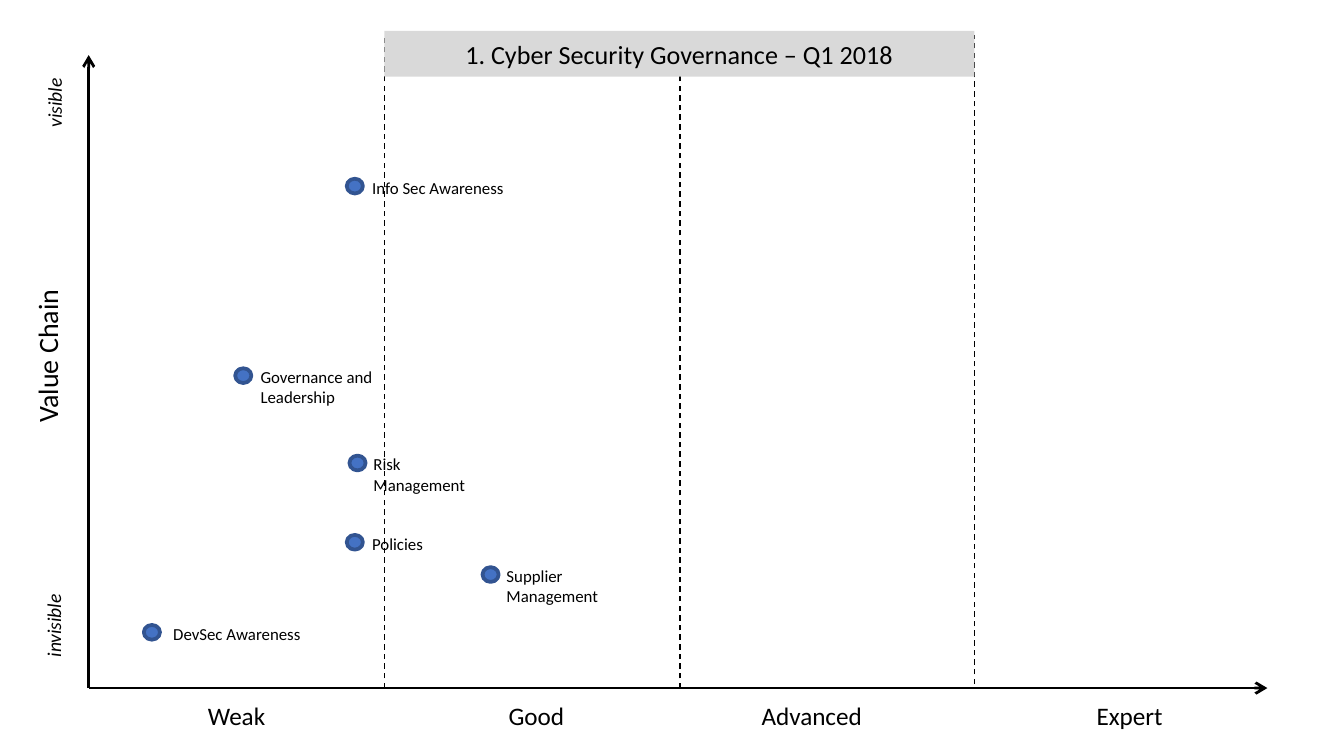
from lxml import etree
from pptx import Presentation
from pptx.dml.color import RGBColor
from pptx.enum.dml import MSO_LINE
from pptx.enum.shapes import MSO_CONNECTOR, MSO_SHAPE
from pptx.enum.text import MSO_AUTO_SIZE, PP_ALIGN
from pptx.oxml.ns import qn
from pptx.util import Inches, Pt

STRAIGHT = MSO_CONNECTOR.STRAIGHT
OVAL = MSO_SHAPE.OVAL
RECTANGLE = MSO_SHAPE.RECTANGLE
DASH = MSO_LINE.DASH
CENTER = PP_ALIGN.CENTER
GROW = MSO_AUTO_SIZE.SHAPE_TO_FIT_TEXT

BLACK = RGBColor(0x00, 0x00, 0x00)
WHITE = RGBColor(0xFF, 0xFF, 0xFF)
GRAY = RGBColor(0xD9, 0xD9, 0xD9)
BLUE = RGBColor(0x44, 0x72, 0xC4)
DARK_BLUE = RGBColor(0x32, 0x54, 0x91)

FONT = "Calibri"
SLIDE_WIDTH = Inches(10)
SLIDE_HEIGHT = SLIDE_WIDTH * 9 // 16
ORIGIN_X, ORIGIN_Y = 0.66, 5.12
DOT_WIDTH, DOT_HEIGHT = 0.12, 0.11
LABEL_RISE = 0.06
ONE_LINE, TWO_LINES = 0.25, 0.4

CAPABILITIES = [
    ("Risk Management", 2.6, 3.39, 2.68, 0.99, TWO_LINES),
    ("Governance and Leadership", 1.75, 2.74, 1.84, 1.29, TWO_LINES),
    ("Policies", 2.58, 3.98, 2.67, 1.29, ONE_LINE),
    ("Supplier Management", 3.59, 4.22, 3.67, 1.29, TWO_LINES),
    ("DevSec Awareness", 1.07, 4.65, 1.19, 1.29, ONE_LINE),
    ("Info Sec Awareness", 2.58, 1.33, 2.67, 1.29, ONE_LINE),
]
DIVIDERS = [(2.86, 5.12, 0.28), (5.06, 5.12, 0.28), (7.25, 5.09, 0.26)]
STAGES = [
    ("Weak", 1.27, 0.98),
    ("Good", 3.5, 0.98),
    ("Advanced", 5.32, 1.44),
    ("Expert", 7.53, 1.75),
]
AXIS_TEXTS = [
    ("Value Chain", -0.25, 2.47, 1.2, 0.35, 15, False),
    ("visible", 0.12, 0.62, 0.57, 0.28, 10.5, True),
    ("invisible", 0.06, 4.51, 0.68, 0.28, 10.5, True),
]


def write_text(shape, text, size, wrap=True, italic=False):
    """Put one formatted paragraph in a shape and return it."""
    frame = shape.text_frame
    frame.text = text
    frame.word_wrap = wrap
    frame.auto_size = GROW
    paragraph = frame.paragraphs[0]
    font = paragraph.runs[0].font
    font.name = FONT
    font.size = Pt(size)
    font.italic = italic
    font.color.rgb = BLACK
    return paragraph


def add_text(slide, text, left, top, width, height, size, wrap=True, italic=False):
    """Add a text box and return it."""
    box = slide.shapes.add_textbox(
        Inches(left), Inches(top), Inches(width), Inches(height))
    write_text(box, text, size, wrap, italic)
    return box


def add_filled_shape(slide, kind, left, top, width, height, fill):
    """Add a flat filled shape without an outline."""
    shape = slide.shapes.add_shape(
        kind, Inches(left), Inches(top), Inches(width), Inches(height))
    shape.shadow.inherit = False
    shape.fill.solid()
    shape.fill.fore_color.rgb = fill
    shape.line.fill.background()
    return shape


def add_banner(slide, text, left, top, width, height, fill, size):
    """Add a filled rectangle with centred text."""
    banner = add_filled_shape(slide, RECTANGLE, left, top, width, height, fill)
    write_text(banner, text, size).alignment = CENTER


def add_line(slide, start_x, start_y, end_x, end_y, width):
    """Add a black line without a shadow."""
    line = slide.shapes.add_connector(
        STRAIGHT, Inches(start_x), Inches(start_y), Inches(end_x), Inches(end_y))
    line.line.color.rgb = BLACK
    line.line.width = Pt(width)
    etree.SubElement(line._element.spPr, qn("a:effectLst"))
    return line


def add_axis(slide, end_x, end_y):
    """Add an axis from the origin with an arrowhead at its end."""
    axis = add_line(slide, ORIGIN_X, ORIGIN_Y, end_x, end_y, 1.5)
    etree.SubElement(axis.line._get_or_add_ln(), qn("a:tailEnd"), type="arrow")


def add_capability(slide, text, left, top, label_left, label_width, label_height):
    """Add a capability dot with its label."""
    dot = add_filled_shape(slide, OVAL, left, top, DOT_WIDTH, DOT_HEIGHT, BLUE)
    dot.line.color.rgb = DARK_BLUE
    dot.line.width = Pt(2)
    add_text(slide, text, label_left, top - LABEL_RISE, label_width, label_height, 9)


def main():
    """Build the maturity map and save it."""
    presentation = Presentation()
    presentation.slide_width = SLIDE_WIDTH
    presentation.slide_height = SLIDE_HEIGHT
    slide = presentation.slides.add_slide(presentation.slide_layouts[6])

    add_axis(slide, ORIGIN_X, 0.41)
    add_axis(slide, 9.43, ORIGIN_Y)
    for text, left, top, width, height, size, italic in AXIS_TEXTS:
        box = add_text(slide, text, left, top, width, height, size, False, italic)
        box.rotation = 270
    for x, bottom, top in DIVIDERS:
        add_line(slide, x, bottom, x, top, 0.75).line.dash_style = DASH
    for text, left, width in STAGES:
        add_banner(slide, text, left, 5.16, width, 0.33, WHITE, 13.5)
    add_banner(slide, "1. Cyber Security Governance – Q1 2018",
               2.86, 0.23, 4.39, 0.34, GRAY, 14)
    for capability in CAPABILITIES:
        add_capability(slide, *capability)

    presentation.save("out.pptx")


if __name__ == "__main__":
    main()
